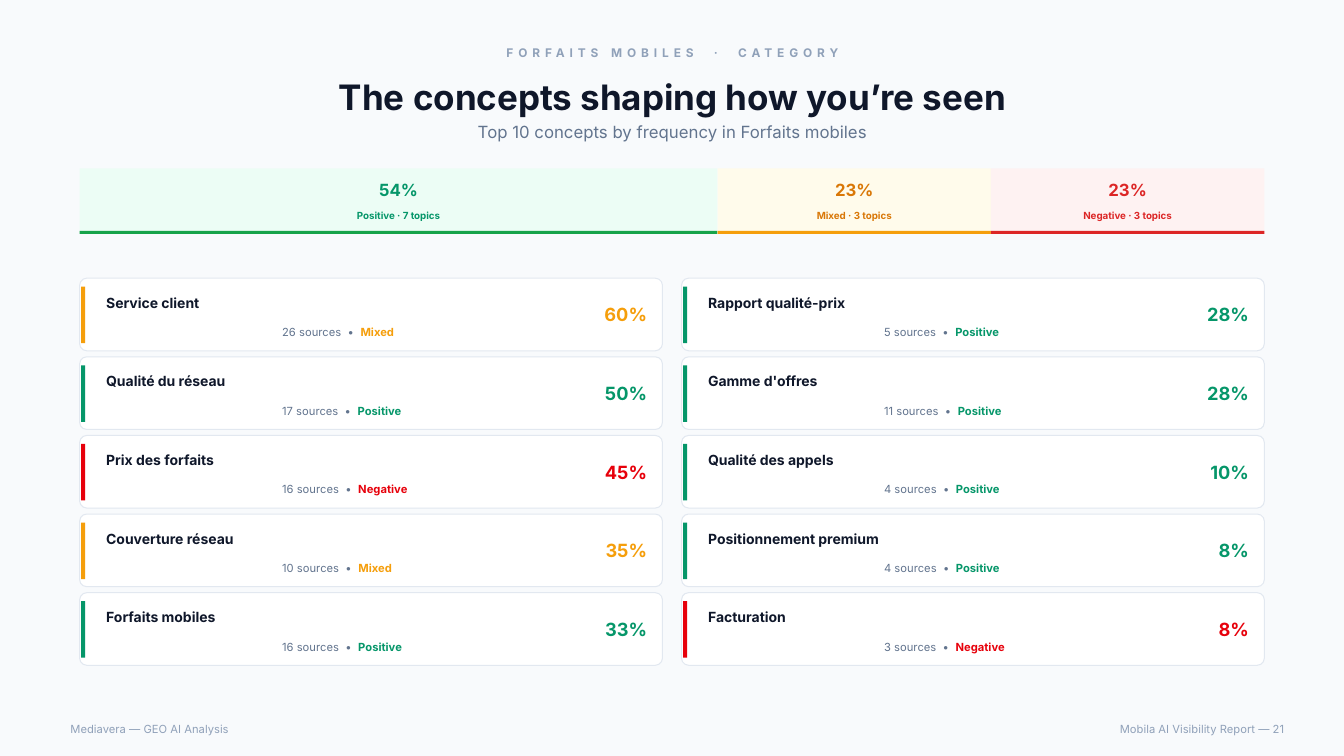
from dataclasses import dataclass
from typing import NamedTuple

from pptx import Presentation
from pptx.dml.color import RGBColor
from pptx.enum.shapes import MSO_SHAPE
from pptx.enum.text import MSO_ANCHOR, MSO_AUTO_SIZE, PP_ALIGN
from pptx.shapes.autoshape import Shape
from pptx.slide import Slide
from pptx.util import Inches, Pt

FONT = "Inter"
COLORS = {
    "page": "F8FAFC", "card": "FFFFFF", "border": "E2E8F0",
    "ink": "0F172A", "muted": "62748E", "faint": "90A1B9",
    "Positive": "059669", "Mixed": "F59E0B", "Negative": "E7000B",
    "positive_tint": "ECFDF5", "positive_rule": "16A34A",
    "mixed_tint": "FFFBEB", "mixed_text": "D97706",
    "negative_tint": "FEF2F2", "negative_text": "DC2626",
}

SLIDE_WIDTH, SLIDE_HEIGHT = 13.33, 7.5
HEADER_LEFT = 0.6
HEADER_WIDTH = 12.14
CONTENT_LEFT = 0.79
CONTENT_WIDTH = 11.75
GUTTER = 0.19
CARD_WIDTH = (CONTENT_WIDTH - GUTTER) / 2
CARD_HEIGHT = 0.72
CARDS_TOP = 2.76
ROW_STEP = 0.78
CARD_ROWS = 5
CARD_RADIUS = 0.07
SHARE_TOP = 1.67
SHARE_HEIGHT = 0.65


class Box(NamedTuple):
    left: float
    top: float
    width: float
    height: float

    def inches(self) -> tuple:
        return tuple(Inches(length) for length in self)


class Words(NamedTuple):
    text: str
    size: float
    color: str
    bold: bool = False
    spacing: float = 0


@dataclass(frozen=True)
class Share:
    sentiment: str
    topics: int
    tint: str
    rule: str
    color: str


@dataclass(frozen=True)
class Concept:
    name: str
    sources: int
    sentiment: str
    percent: int


SHARES = [
    Share("Positive", 7, "positive_tint", "positive_rule", "Positive"),
    Share("Mixed", 3, "mixed_tint", "Mixed", "mixed_text"),
    Share("Negative", 3, "negative_tint", "negative_text", "negative_text"),
]

CONCEPTS = [
    Concept("Service client", 26, "Mixed", 60),
    Concept("Qualité du réseau", 17, "Positive", 50),
    Concept("Prix des forfaits", 16, "Negative", 45),
    Concept("Couverture réseau", 10, "Mixed", 35),
    Concept("Forfaits mobiles", 16, "Positive", 33),
    Concept("Rapport qualité-prix", 5, "Positive", 28),
    Concept("Gamme d'offres", 11, "Positive", 28),
    Concept("Qualité des appels", 4, "Positive", 10),
    Concept("Positionnement premium", 4, "Positive", 8),
    Concept("Facturation", 3, "Negative", 8),
]


def rgb(name: str) -> RGBColor:
    return RGBColor.from_string(COLORS[name])


def write(shape: Shape, words: list[Words], align: PP_ALIGN = PP_ALIGN.LEFT,
          anchor: MSO_ANCHOR = MSO_ANCHOR.MIDDLE, wrap: bool = True) -> None:
    frame = shape.text_frame
    frame.word_wrap = wrap
    frame.auto_size = MSO_AUTO_SIZE.NONE
    frame.vertical_anchor = anchor
    paragraph = frame.paragraphs[0]
    paragraph.alignment = align
    for part in words:
        run = paragraph.add_run()
        run.text = part.text
        run.font.name = FONT
        run.font.size = Pt(part.size)
        run.font.bold = part.bold
        run.font.color.rgb = rgb(part.color)
        if part.spacing:
            run._r.get_or_add_rPr().set("spc", str(round(part.spacing * 100)))


def add_text(slide: Slide, box: Box, *words: Words, align: PP_ALIGN = PP_ALIGN.LEFT,
             anchor: MSO_ANCHOR = MSO_ANCHOR.MIDDLE, wrap: bool = True) -> None:
    write(slide.shapes.add_textbox(*box.inches()), list(words), align, anchor, wrap)


def add_block(slide: Slide, box: Box, fill: str,
              kind: MSO_SHAPE = MSO_SHAPE.RECTANGLE) -> Shape:
    block = slide.shapes.add_shape(kind, *box.inches())
    block.shadow.inherit = False
    block.fill.solid()
    block.fill.fore_color.rgb = rgb(fill)
    block.line.fill.background()
    return block


def add_header(slide: Slide) -> None:
    add_text(slide, Box(HEADER_LEFT, 0.4, HEADER_WIDTH, 0.25),
             Words("FORFAITS MOBILES  ·  CATEGORY", 8.5, "faint", True, 3.5),
             align=PP_ALIGN.CENTER)
    title = slide.shapes.title
    title.left, title.top, title.width, title.height = Box(
        HEADER_LEFT, 0.68, HEADER_WIDTH, 0.56).inches()
    write(title, [Words("The concepts shaping how you’re seen", 25, "ink", True)],
          PP_ALIGN.CENTER)
    add_text(slide, Box(HEADER_LEFT, 1.18, HEADER_WIDTH, 0.25),
             Words("Top 10 concepts by frequency in Forfaits mobiles", 12, "muted"),
             align=PP_ALIGN.CENTER)


def add_footer(slide: Slide) -> None:
    add_text(slide, Box(HEADER_LEFT, 7.12, 5.97, 0.22),
             Words("Mediavera — GEO AI Analysis", 8, "faint"))
    add_text(slide, Box(6.81, 7.12, 6.03, 0.22),
             Words("Mobila AI Visibility Report — 21", 8, "faint"),
             align=PP_ALIGN.RIGHT)


def add_share_bar(slide: Slide) -> None:
    """Draw one segment per sentiment, as wide as its share of all topics."""
    all_topics = sum(share.topics for share in SHARES)
    left = CONTENT_LEFT
    for share in SHARES:
        fraction = share.topics / all_topics
        width = CONTENT_WIDTH * fraction
        add_block(slide, Box(left, SHARE_TOP, width, SHARE_HEIGHT), share.tint)
        add_block(slide, Box(left, SHARE_TOP + 0.62, width, 0.03), share.rule)
        add_text(slide, Box(left, SHARE_TOP + 0.07, width, 0.28),
                 Words(f"{fraction:.0%}", 12, share.color, True),
                 align=PP_ALIGN.CENTER)
        add_text(slide, Box(left, SHARE_TOP + 0.36, width, 0.22),
                 Words(f"{share.sentiment} · {share.topics} topics", 7, share.color, True),
                 align=PP_ALIGN.CENTER)
        left += width


def add_concept_card(slide: Slide, concept: Concept, column: int, row: int) -> None:
    left = CONTENT_LEFT + column * (CARD_WIDTH + GUTTER)
    top = CARDS_TOP + row * ROW_STEP
    card = add_block(slide, Box(left, top, CARD_WIDTH, CARD_HEIGHT), "card",
                     MSO_SHAPE.ROUNDED_RECTANGLE)
    card.adjustments[0] = CARD_RADIUS / CARD_HEIGHT
    card.line.color.rgb = rgb("border")
    card.line.width = Pt(0.75)
    add_block(slide, Box(left + 0.015, top + 0.085, 0.04, 0.56), concept.sentiment)
    add_text(slide, Box(left + 0.165, top + 0.11, 4.53, 0.27),
             Words(concept.name, 10, "ink", True), anchor=MSO_ANCHOR.TOP)
    add_text(slide, Box(left + 1.91, top + 0.42, 2.79, 0.22),
             Words(f"{concept.sources} sources  •  ", 8, "muted"),
             Words(concept.sentiment, 8, concept.sentiment, True),
             anchor=MSO_ANCHOR.TOP)
    add_text(slide, Box(left + 5.005, top, 0.72, CARD_HEIGHT),
             Words(f"{concept.percent}%", 13, concept.sentiment, True),
             align=PP_ALIGN.RIGHT, wrap=False)


def main() -> None:
    deck = Presentation()
    deck.slide_width = Inches(SLIDE_WIDTH)
    deck.slide_height = Inches(SLIDE_HEIGHT)
    slide = deck.slides.add_slide(deck.slide_layouts.get_by_name("Title Only"))
    slide.background.fill.solid()
    slide.background.fill.fore_color.rgb = rgb("page")
    add_header(slide)
    add_footer(slide)
    add_share_bar(slide)
    for index, concept in enumerate(CONCEPTS):
        column, row = divmod(index, CARD_ROWS)
        add_concept_card(slide, concept, column, row)
    deck.save("out.pptx")


if __name__ == "__main__":
    main()
